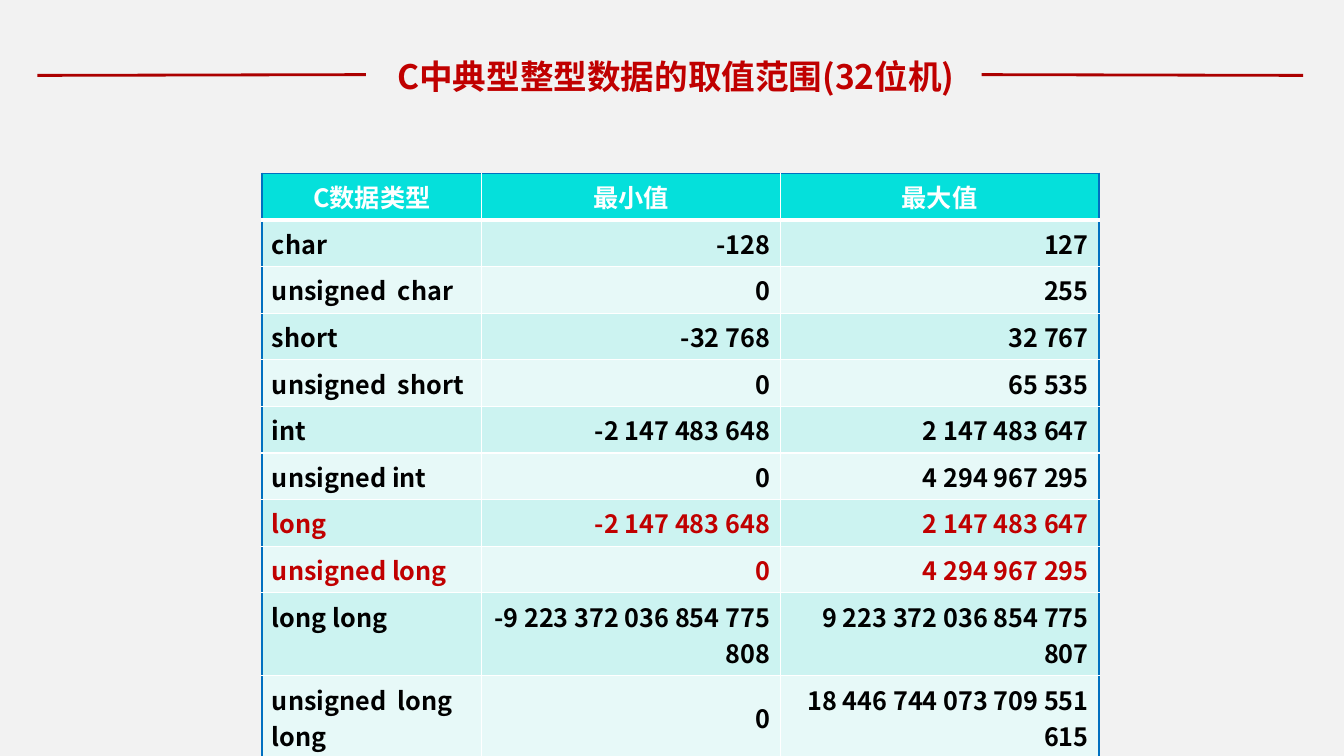
"""Build a slide that lists the value ranges of the C integer types."""
from dataclasses import dataclass

import lxml.etree
import pptx
import pptx.dml.color
import pptx.enum.shapes
import pptx.enum.text
import pptx.oxml.ns
import pptx.util

Cm = pptx.util.Cm
Align = pptx.enum.text.PP_ALIGN
Anchor = pptx.enum.text.MSO_ANCHOR
qn = pptx.oxml.ns.qn


@dataclass(frozen=True)
class Theme:
    font: str = "Noto Sans CJK SC"
    back: str = "F2F2F2"
    red: str = "C00000"
    rule: str = "AC0000"
    head: str = "05E0DB"
    bands: tuple[str, str] = ("CCF3F1", "E7F9F8")
    edge: str = "0070C0"
    white: str = "FFFFFF"
    black: str = "000000"
    title: float = 24
    body: float = 18


@dataclass(frozen=True)
class Range:
    kind: str
    low: str
    high: str
    marked: bool = False


@dataclass(frozen=True)
class Rule:
    left: float
    start: float
    right: float
    end: float


THEME = Theme()
HEADS = Range("C数据类型", "最小值", "最大值")
RANGES = [
    Range("char", "-128", "127"),
    Range("unsigned  char", "0", "255"),
    Range("short", "-32 768", "32 767"),
    Range("unsigned  short", "0", "65 535"),
    Range("int", "-2 147 483 648", "2 147 483 647"),
    Range("unsigned int", "0", "4 294 967 295"),
    Range("long", "-2 147 483 648", "2 147 483 647", True),
    Range("unsigned long", "0", "4 294 967 295", True),
    Range("long long", "-9 223 372 036 854 775 808", "9 223 372 036 854 775 807"),
    Range("unsigned  long long", "0", "18 446 744 073 709 551 615"),
]
RULES = [Rule(0.94, 1.9, 9.22, 1.88), Rule(24.74, 1.88, 32.84, 1.9)]
WIDTHS = [5.54, 7.52, 8.03]
HEIGHT = 1.03


def tint(code: str) -> pptx.dml.color.RGBColor:
    """Turn a hex code into a colour."""
    return pptx.dml.color.RGBColor.from_string(code)


def write(frame, text: str, size: float, ink: str, align) -> None:
    """Put one bold run into a text frame."""
    para = frame.paragraphs[0]
    para.alignment = align
    run = para.add_run()
    run.text = text
    font = run.font
    font.size, font.bold, font.name = pptx.util.Pt(size), True, THEME.font
    font.color.rgb = tint(ink)
    east = lxml.etree.SubElement(run._r.get_or_add_rPr(), qn("a:ea"))
    east.set("typeface", THEME.font)


def border(cell, row: int, col: int, last: int) -> None:
    """Draw blue lines on the outer sides of a cell and white ones inside."""
    under = 3 if row == 0 else 1
    sides = [("a:lnL", col == 0, 1), ("a:lnR", col == len(WIDTHS) - 1, 1),
             ("a:lnT", row == 0, 3 if row == 1 else 1), ("a:lnB", row == last, under)]
    props = cell._tc.get_or_add_tcPr()
    for spot, (tag, outer, width) in enumerate(sides):
        line = lxml.etree.Element(qn(tag), w=str(pptx.util.Pt(1.5 if outer else width)))
        fill = lxml.etree.SubElement(line, qn("a:solidFill"))
        ink = lxml.etree.SubElement(fill, qn("a:srgbClr"))
        ink.set("val", THEME.edge if outer else THEME.white)
        props.insert(spot, line)


def add_grid(slide) -> None:
    """Add the table of types and their limits."""
    rows = [HEADS, *RANGES]
    frame = slide.shapes.add_table(len(rows), len(WIDTHS), Cm(6.6), Cm(4.37),
                                   Cm(sum(WIDTHS)), Cm(HEIGHT * len(rows)))
    grid = frame.table
    grid.horz_banding = False
    for col, width in enumerate(WIDTHS):
        grid.columns[col].width = Cm(width)
    for row, entry in enumerate(rows):
        grid.rows[row].height = Cm(HEIGHT)
        head = row == 0
        ink = THEME.white if head else THEME.red if entry.marked else THEME.black
        for col, text in enumerate((entry.kind, entry.low, entry.high)):
            cell = grid.cell(row, col)
            label = col == 0 and not head
            align = Align.CENTER if head else Align.LEFT if label else Align.RIGHT
            cell.vertical_anchor = Anchor.TOP if label else Anchor.MIDDLE
            cell.fill.solid()
            cell.fill.fore_color.rgb = tint(THEME.head if head else THEME.bands[(row - 1) % 2])
            border(cell, row, col, len(rows) - 1)
            write(cell.text_frame, text, THEME.body, ink, align)


def add_title(slide) -> None:
    """Place and fill the title."""
    title = slide.shapes.title
    title.left, title.top, title.width, title.height = Cm(6.71), Cm(0.71), Cm(20.65), Cm(2.39)
    frame = title.text_frame
    frame.word_wrap = True
    frame.auto_size = pptx.enum.text.MSO_AUTO_SIZE.NONE
    frame.vertical_anchor = Anchor.MIDDLE
    write(frame, "C中典型整型数据的取值范围(32位机)", THEME.title, THEME.red, Align.CENTER)


def add_rule(slide, rule: Rule) -> None:
    """Draw one line beside the title."""
    line = slide.shapes.add_connector(pptx.enum.shapes.MSO_CONNECTOR.STRAIGHT, Cm(rule.left),
                                      Cm(rule.start), Cm(rule.right), Cm(rule.end))
    line.line.color.rgb = tint(THEME.rule)
    line.line.width = pptx.util.Pt(2)
    lxml.etree.SubElement(line._element.spPr, qn("a:effectLst"))


def main() -> None:
    """Build and save the deck."""
    deck = pptx.Presentation()
    deck.slide_width, deck.slide_height = Cm(33.87), Cm(19.05)
    slide = deck.slides.add_slide(deck.slide_layouts[5])
    slide.background.fill.solid()
    slide.background.fill.fore_color.rgb = tint(THEME.back)
    add_title(slide)
    add_grid(slide)
    for rule in RULES:
        add_rule(slide, rule)
    deck.save("out.pptx")


if __name__ == "__main__":
    main()
